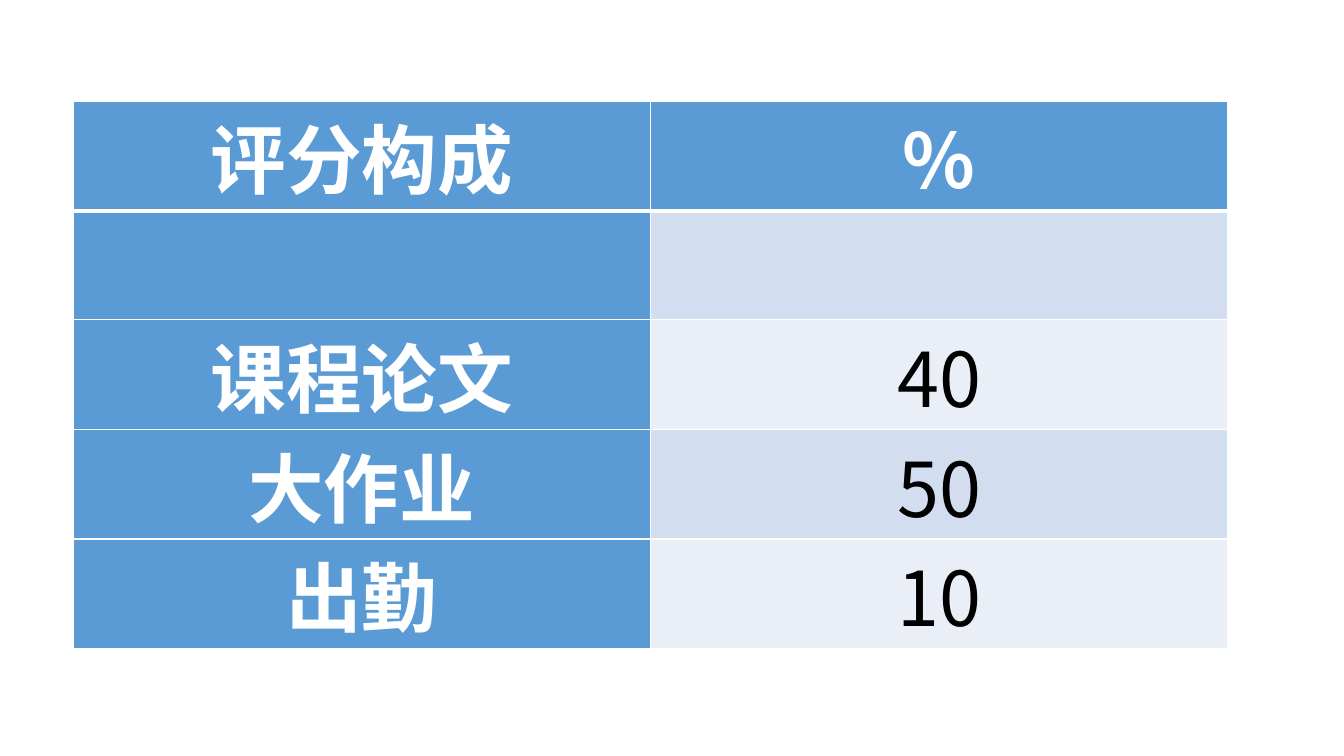
from dataclasses import dataclass

from lxml.etree import SubElement
from pptx import Presentation
from pptx.dml.color import RGBColor
from pptx.enum.text import MSO_ANCHOR, PP_ALIGN
from pptx.oxml.ns import qn
from pptx.table import _Cell
from pptx.util import Cm, Pt

COLORS = {
    "white": "FFFFFF",
    "black": "000000",
    "blue": "5B9BD5",
    "band": "D2DEEF",
    "light": "EAEFF7",
}
FONT = "Noto Sans CJK SC"
COLUMN_WIDTH = Cm(14.55)
ROW_HEIGHT = Cm(2.75)


@dataclass
class GradePart:
    label: str
    percent: str


GRADE_PARTS = [
    GradePart("评分构成", "%"),
    GradePart("", ""),
    GradePart("课程论文", "40"),
    GradePart("大作业", "50"),
    GradePart("出勤", "10"),
]


def write_text(cell: _Cell, text: str, *, color: str, bold: bool, size: float = 54) -> None:
    paragraph = cell.text_frame.paragraphs[0]
    paragraph.alignment = PP_ALIGN.CENTER
    run = paragraph.add_run()
    run.text = text
    run.font.size = Pt(size)
    run.font.bold = bold
    run.font.name = FONT
    run.font.color.rgb = RGBColor.from_string(COLORS[color])
    SubElement(run.font._element, qn("a:ea"), typeface=FONT)


def draw_borders(cell: _Cell, top: float, bottom: float) -> None:
    """Add white borders; must run before the cell gets its fill."""
    properties = cell._tc.get_or_add_tcPr()
    for side, width in {"L": 1, "R": 1, "T": top, "B": bottom}.items():
        line = SubElement(properties, qn(f"a:ln{side}"), w=str(Pt(width)))
        fill = SubElement(line, qn("a:solidFill"))
        SubElement(fill, qn("a:srgbClr"), val=COLORS["white"])


def format_cell(cell: _Cell, row: int, is_heading: bool) -> None:
    draw_borders(cell, top=3 if row == 1 else 1, bottom=3 if row == 0 else 1)
    fill_color = "blue" if is_heading else "band" if row % 2 else "light"
    cell.fill.solid()
    cell.fill.fore_color.rgb = RGBColor.from_string(COLORS[fill_color])
    cell.margin_left = cell.margin_right = Cm(0.18)
    cell.margin_top = cell.margin_bottom = 0
    cell.vertical_anchor = MSO_ANCHOR.MIDDLE


def main() -> None:
    presentation = Presentation()
    presentation.slide_width = Cm(33.87)
    presentation.slide_height = Cm(19.05)
    slide = presentation.slides.add_slide(presentation.slide_layouts[6])

    grading = slide.shapes.add_table(
        len(GRADE_PARTS), 2, Cm(1.84), Cm(2.55),
        2 * COLUMN_WIDTH, len(GRADE_PARTS) * ROW_HEIGHT,
    ).table
    grading.first_col = True
    for column in grading.columns:
        column.width = COLUMN_WIDTH

    for row, part in enumerate(GRADE_PARTS):
        grading.rows[row].height = ROW_HEIGHT
        for column, text in enumerate((part.label, part.percent)):
            cell = grading.cell(row, column)
            is_heading = row == 0 or column == 0
            format_cell(cell, row, is_heading)
            if text:
                write_text(cell, text, color="white" if is_heading else "black", bold=is_heading)

    presentation.save("out.pptx")


if __name__ == "__main__":
    main()
